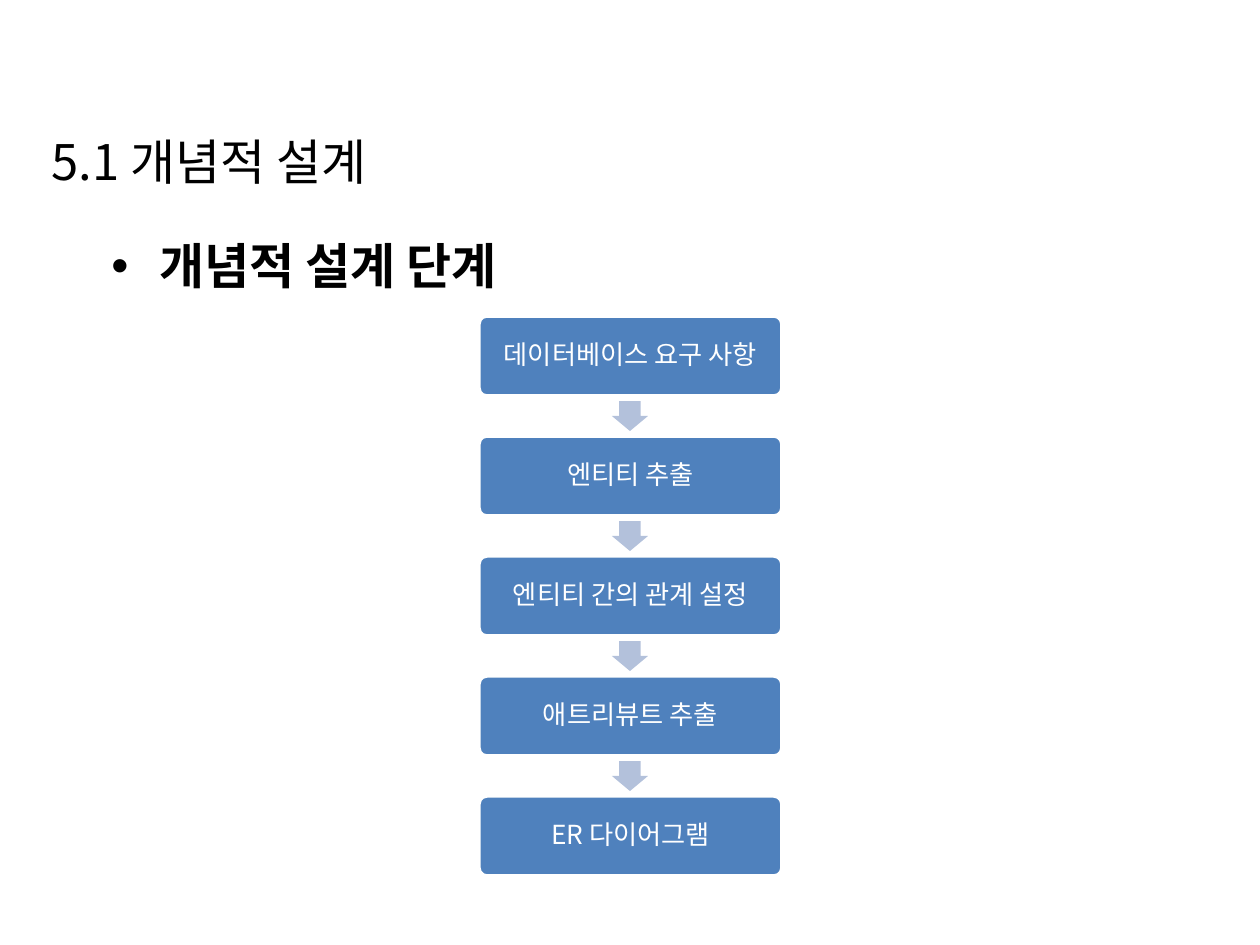
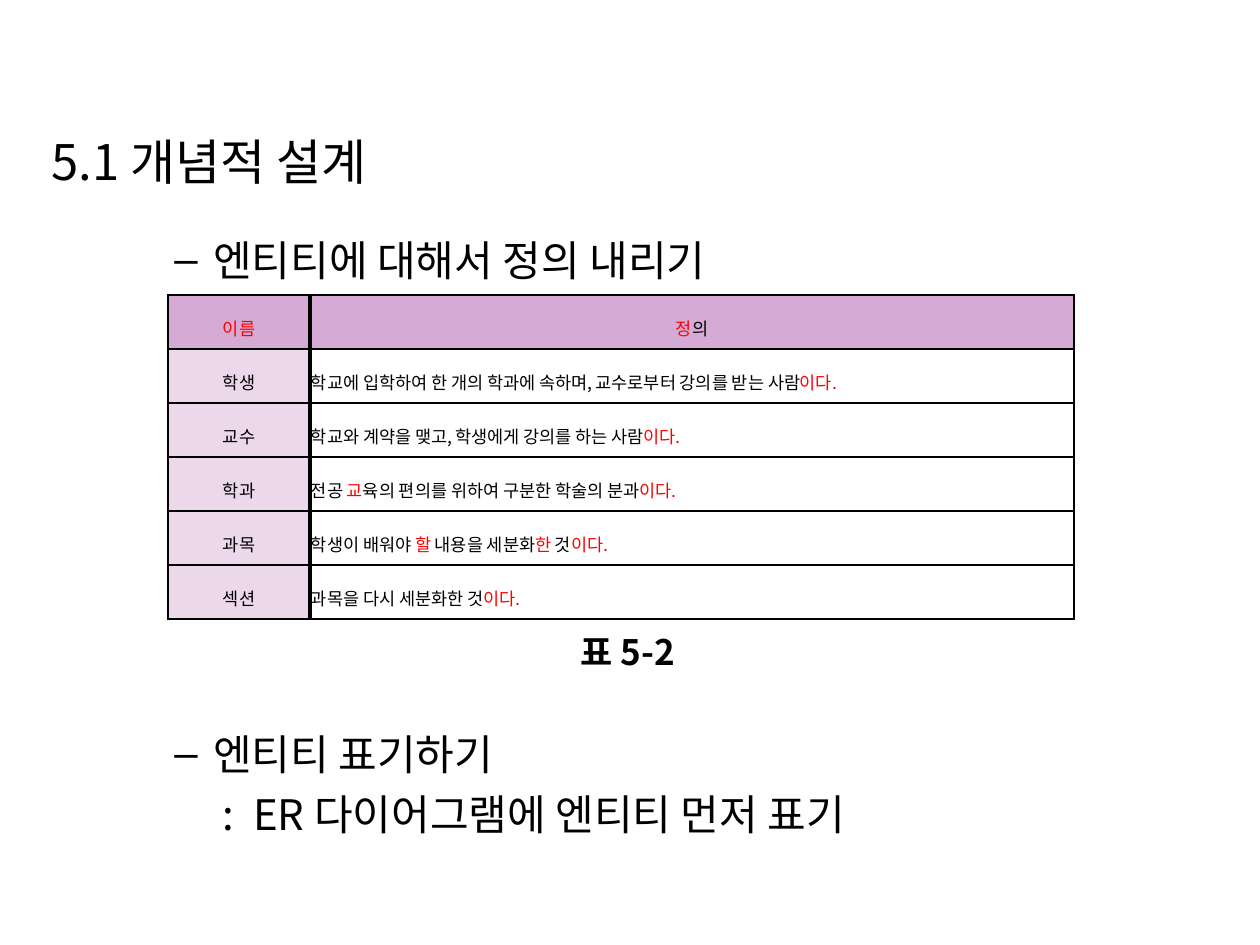
"""Build two slides on conceptual database design: a step flow and an entity table."""
from dataclasses import dataclass

from lxml import etree
from pptx import Presentation
from pptx.dml.color import RGBColor
from pptx.enum.shapes import MSO_SHAPE
from pptx.enum.text import MSO_ANCHOR, MSO_AUTO_SIZE, PP_ALIGN
from pptx.oxml.ns import qn
from pptx.util import Emu, Pt

ROUNDED = MSO_SHAPE.ROUNDED_RECTANGLE
DOWN_ARROW = MSO_SHAPE.DOWN_ARROW
TOP, MIDDLE = MSO_ANCHOR.TOP, MSO_ANCHOR.MIDDLE
LEFT, CENTER, JUSTIFY = PP_ALIGN.LEFT, PP_ALIGN.CENTER, PP_ALIGN.JUSTIFY
NO_AUTO_SIZE = MSO_AUTO_SIZE.NONE
TITLE_ONLY = 5
PIXELS_PER_INCH = 126


@dataclass(frozen=True)
class Theme:
    font: str = "Noto Sans CJK KR"
    ink: str = "000000"
    paper: str = "FFFFFF"
    accent: str = "FF0000"
    step: str = "4F81BD"
    arrow: str = "B3C1DB"
    header: str = "D5AAD5"
    name_column: str = "ECD8EB"
    title_size: int = 28
    detail_size: int = 24
    caption_size: int = 20
    step_size: int = 15
    table_size: int = 10
    thin: float = 1
    thick: float = 2.25


@dataclass(frozen=True)
class Box:
    left: int
    top: int
    width: int
    height: int

    def emu(self) -> tuple:
        return tuple(px(n) for n in (self.left, self.top, self.width, self.height))


@dataclass(frozen=True)
class Span:
    text: str
    color: str


@dataclass(frozen=True)
class Bullet:
    mark: str
    level: int
    margin: int
    hang: int
    size: int
    bold: bool = False


@dataclass(frozen=True)
class Entity:
    name: Span
    definition: tuple


def px(pixels: float) -> Emu:
    return Emu(round(pixels * 914400 / PIXELS_PER_INCH))


THEME = Theme()
TITLE = "5.1 개념적 설계"
TITLE_BOX = Box(39, 125, 373, 72)
TOPIC = Bullet("•", 0, 48, 48, THEME.title_size, True)
DETAIL = Bullet("–", 1, 102, 39, THEME.detail_size)

STEPS = ("데이터베이스 요구 사항", "엔티티 추출", "엔티티 간의 관계 설정", "애트리뷰트 추출", "ER 다이어그램")
FIRST_STEP = Box(479, 316, 303, 80)
FIRST_ARROW = Box(612, 401, 36, 30)
STEP_PITCH = 120

TABLE_LEFT, TABLE_TOP, ROW_HEIGHT = 168, 295, 54
COLUMN_WIDTHS = (142, 764)


def ink(text: str) -> Span:
    return Span(text, THEME.ink)


def red(text: str) -> Span:
    return Span(text, THEME.accent)


HEADING = Entity(red("이름"), (red("정"), ink("의")))
ENTITIES = (
    Entity(ink("학생"), (ink("학교에 입학하여 한 개의 학과에 속하며, 교수로부터 강의를 받는 사람"), red("이다."))),
    Entity(ink("교수"), (ink("학교와 계약을 맺고, 학생에게 강의를 하는 사람"), red("이다."))),
    Entity(ink("학과"), (ink("전공 "), red("교"), ink("육의 편의를 위하여 구분한 학술의 분과"), red("이다."))),
    Entity(ink("과목"), (ink("학생이 배워야 "), red("할"), ink(" 내용을 세분화"), red("한"), ink(" 것"), red("이다."))),
    Entity(ink("섹션"), (ink("과목을 다시 세분화한 것"), red("이다."))),
)


def add_run(paragraph, span: Span, size: int, bold: bool = False) -> None:
    run = paragraph.add_run()
    run.text = span.text
    run.font.name = THEME.font
    run.font.size = Pt(size)
    run.font.bold = bold
    run.font.color.rgb = RGBColor.from_string(span.color)
    latin = run.font._element.find(qn("a:latin"))
    east_asian = etree.Element(qn("a:ea"), typeface=THEME.font)
    latin.addnext(east_asian)


def paint(fill, color: str) -> None:
    fill.solid()
    fill.fore_color.rgb = RGBColor.from_string(color)


def add_slide(presentation):
    slide = presentation.slides.add_slide(presentation.slide_layouts[TITLE_ONLY])
    paint(slide.background.fill, THEME.paper)
    title = slide.shapes.title
    title.left, title.top, title.width, title.height = TITLE_BOX.emu()
    frame = title.text_frame
    frame.auto_size = NO_AUTO_SIZE
    frame.word_wrap = False
    frame.vertical_anchor = TOP
    frame.paragraphs[0].alignment = LEFT
    add_run(frame.paragraphs[0], ink(TITLE), THEME.title_size)
    return slide


def add_bullet(slide, box: Box, bullet: Bullet, lines: tuple) -> None:
    frame = slide.shapes.add_textbox(*box.emu()).text_frame
    frame.word_wrap = True
    paragraph = frame.paragraphs[0]
    paragraph.level = bullet.level
    paragraph.line_spacing = 1.2
    paragraph.space_before = Pt(bullet.size * 0.2)
    properties = paragraph._p.get_or_add_pPr()
    properties.set("marL", str(px(bullet.margin)))
    properties.set("indent", str(-px(bullet.hang)))
    etree.SubElement(properties, qn("a:buFont"), typeface="Arial")
    etree.SubElement(properties, qn("a:buChar"), char=bullet.mark)
    for index, line in enumerate(lines):
        if index:
            paragraph.add_line_break()
        add_run(paragraph, ink(line), bullet.size, bullet.bold)


def add_caption(slide, box: Box, text: str) -> None:
    frame = slide.shapes.add_textbox(*box.emu()).text_frame
    frame.word_wrap = False
    frame.vertical_anchor = MIDDLE
    frame.paragraphs[0].alignment = CENTER
    add_run(frame.paragraphs[0], ink(text), THEME.caption_size, True)


def add_block(slide, kind, box: Box, color: str, adjustments: tuple):
    shape = slide.shapes.add_shape(kind, *box.emu())
    shape.shadow.inherit = False
    paint(shape.fill, color)
    shape.line.fill.background()
    for index, value in enumerate(adjustments):
        shape.adjustments[index] = value
    return shape


def shifted(box: Box, index: int) -> Box:
    return Box(box.left, box.top + index * STEP_PITCH, box.width, box.height)


def add_step(slide, index: int, label: str) -> None:
    shape = add_block(slide, ROUNDED, shifted(FIRST_STEP, index), THEME.step, (0.1,))
    paint(shape.line.fill, THEME.paper)
    shape.line.width = Pt(2)
    frame = shape.text_frame
    frame.word_wrap = True
    frame.vertical_anchor = MIDDLE
    frame.margin_left = frame.margin_right = px(6)
    frame.margin_top = frame.margin_bottom = px(6)
    paragraph = frame.paragraphs[0]
    paragraph.alignment = CENTER
    paragraph.line_spacing = 0.9
    add_run(paragraph, Span(label, THEME.paper), THEME.step_size)


def add_border(cell, side: str, width: float) -> None:
    properties = cell._tc.get_or_add_tcPr()
    line = etree.SubElement(properties, qn(f"a:{side}"), w=str(Pt(width)))
    solid = etree.SubElement(line, qn("a:solidFill"))
    etree.SubElement(solid, qn("a:srgbClr"), val=THEME.ink)


def fill_cell(cell, spans: tuple, alignment, color: str, thick_side: str) -> None:
    for side in ("lnL", "lnR", "lnT", "lnB"):
        add_border(cell, side, THEME.thick if side == thick_side else THEME.thin)
    paint(cell.fill, color)
    cell.vertical_anchor = MIDDLE
    cell.margin_left = cell.margin_right = px(1)
    cell.margin_top = cell.margin_bottom = px(1)
    paragraph = cell.text_frame.paragraphs[0]
    paragraph.alignment = alignment
    paragraph.line_spacing = 1.5
    for span in spans:
        add_run(paragraph, span, THEME.table_size)


def add_entity_table(slide) -> None:
    rows = (HEADING, *ENTITIES)
    box = Box(TABLE_LEFT, TABLE_TOP, sum(COLUMN_WIDTHS), ROW_HEIGHT * len(rows))
    table = slide.shapes.add_table(len(rows), len(COLUMN_WIDTHS), *box.emu()).table
    table.horz_banding = False
    for column, width in zip(table.columns, COLUMN_WIDTHS):
        column.width = px(width)
    for index, entity in enumerate(rows):
        table.rows[index].height = px(ROW_HEIGHT)
        heading = entity is HEADING
        name_fill = THEME.header if heading else THEME.name_column
        text_fill = THEME.header if heading else THEME.paper
        alignment = CENTER if heading else JUSTIFY
        fill_cell(table.cell(index, 0), (entity.name,), CENTER, name_fill, "lnR")
        fill_cell(table.cell(index, 1), entity.definition, alignment, text_fill, "lnL")


def build_steps_slide(presentation) -> None:
    slide = add_slide(presentation)
    add_bullet(slide, Box(99, 218, 1132, 77), TOPIC, ("개념적 설계 단계",))
    for index, label in enumerate(STEPS):
        add_step(slide, index, label)
        if index < len(STEPS) - 1:
            add_block(slide, DOWN_ARROW, shifted(FIRST_ARROW, index), THEME.arrow, (0.6, 0.5))


def build_entities_slide(presentation) -> None:
    slide = add_slide(presentation)
    add_bullet(slide, Box(99, 218, 1132, 68), DETAIL, ("엔티티에 대해서 정의 내리기",))
    add_caption(slide, Box(553, 630, 150, 43), "표 5-2")
    add_entity_table(slide)
    lines = ("엔티티 표기하기", " :  ER 다이어그램에 엔티티 먼저 표기")
    add_bullet(slide, Box(99, 712, 1132, 135), DETAIL, lines)


def main() -> None:
    presentation = Presentation()
    presentation.slide_width, presentation.slide_height = px(1260), px(945)
    build_steps_slide(presentation)
    build_entities_slide(presentation)
    presentation.save("out.pptx")


main()
